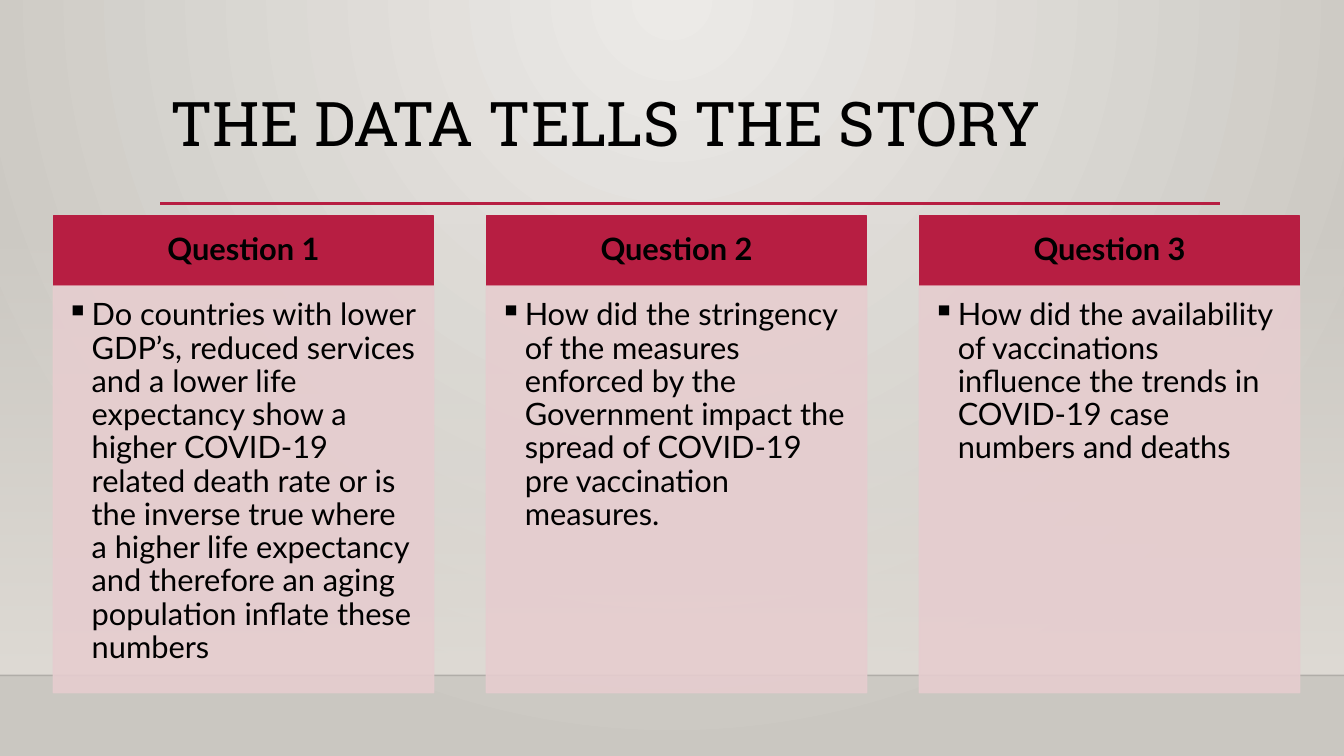
"""Build the slide with three question cards under a ruled title."""
from lxml.etree import SubElement
from pptx import Presentation
from pptx.dml.color import RGBColor
from pptx.enum.shapes import MSO_CONNECTOR, MSO_SHAPE
from pptx.enum.text import MSO_ANCHOR, MSO_AUTO_SIZE, PP_ALIGN
from pptx.oxml.ns import qn
from pptx.util import Inches, Pt

BLACK = RGBColor(0x00, 0x00, 0x00)
CRIMSON = RGBColor(0xB7, 0x1E, 0x42)
PINK = RGBColor(0xE6, 0xCD, 0xCF)
WALL = RGBColor(0xDF, 0xDB, 0xD5)
LIGHT = RGBColor(0xEC, 0xEA, 0xE7)
SHADE = RGBColor(0xCA, 0xC7, 0xC1)

WIDTH, HEIGHT, FLOOR = 13.33, 7.5, 6.7
LEFT, PITCH, CARD_W = 0.53, 4.295, 3.77
HEAD_TOP, HEAD_H, BODY_TOP, BODY_H = 2.14, 0.69, 2.84, 4.03

CARDS = [
    ("Question 1", "Do countries with lower GDP’s, reduced services and a lower "
     "life expectancy show a higher COVID-19 related death rate or is the inverse "
     "true where a higher life expectancy and therefore an aging population "
     "inflate these numbers"),
    ("Question 2", "How did the stringency of the measures enforced by the "
     "Government impact the spread of COVID-19 pre vaccination measures."),
    ("Question 3", "How did the availability of vaccinations influence the trends "
     "in COVID-19 case numbers and deaths"),
]


def set_alpha(element, percent):
    """Give every colour inside the element the same opacity."""
    for clr in element.iter(qn("a:srgbClr")):
        SubElement(clr, qn("a:alpha"), val=str(percent * 1000))


def write(tf, text, size, font, align, insets, anchor):
    """Fill a text frame with one formatted run and return its paragraph."""
    tf.word_wrap = True
    tf.auto_size = MSO_AUTO_SIZE.NONE
    tf.vertical_anchor = anchor
    (tf.margin_left, tf.margin_top,
     tf.margin_right, tf.margin_bottom) = [Inches(v) for v in insets]
    p = tf.paragraphs[0]
    p.alignment = align
    p.line_spacing = 0.9
    r = p.add_run()
    r.text = text
    r.font.size = Pt(size)
    r.font.name = font
    r.font.color.rgb = BLACK
    return p


prs = Presentation()
prs.slide_width, prs.slide_height = Inches(WIDTH), Inches(HEIGHT)
s = prs.slides.add_slide(prs.slide_layouts[5])

fill = s.background.fill
fill.gradient()
for stop, color in zip(fill.gradient_stops, (LIGHT, SHADE)):
    stop.color.rgb = color
grad = next(s.element.iter(qn("a:gradFill")))
grad.remove(grad.find(qn("a:lin")))
circle = SubElement(grad, qn("a:path"), {"path": "circle"})
SubElement(circle, qn("a:fillToRect"), l="43000", t="0", r="43000", b="100000")

wall = s.shapes.add_shape(MSO_SHAPE.RECTANGLE, 0, Inches(2.21),
                          Inches(WIDTH), Inches(FLOOR - 2.21))
wall.shadow.inherit = False
wall.line.fill.background()
wall.fill.gradient()
wall.fill.gradient_angle = 270
for stop in wall.fill.gradient_stops:
    stop.color.rgb = WALL
set_alpha(next(wall.element.iter(qn("a:gs"))), 0)

for x1, x2, y, color, width, opacity in [
    (0, WIDTH, FLOOR, BLACK, 1, 20),
    (1.59, 12.1, 2.02, CRIMSON, 2.5, 100),
]:
    rule = s.shapes.add_connector(MSO_CONNECTOR.STRAIGHT, Inches(x1), Inches(y),
                                  Inches(x2), Inches(y))
    rule.line.color.rgb = color
    rule.line.width = Pt(width)
    set_alpha(rule.element, opacity)
    SubElement(rule.element.spPr, qn("a:effectLst"))

title = s.shapes.title
title.left, title.top = Inches(1.59), Inches(0.88)
title.width, title.height = Inches(10.5), Inches(1.15)
write(title.text_frame, "THE DATA TELLS THE STORY", 44, "Roboto Slab",
      PP_ALIGN.LEFT, (0.1, 0.05, 0.1, 0.05), MSO_ANCHOR.TOP)

for i, (heading, question) in enumerate(CARDS):
    boxes = []
    for top, height, color in [(HEAD_TOP, HEAD_H, CRIMSON), (BODY_TOP, BODY_H, PINK)]:
        sp = s.shapes.add_shape(MSO_SHAPE.RECTANGLE, Inches(LEFT + i * PITCH),
                                Inches(top), Inches(CARD_W), Inches(height))
        sp.shadow.inherit = False
        sp.fill.solid()
        sp.fill.fore_color.rgb = color
        sp.line.color.rgb = color
        sp.line.width = Pt(1.25)
        boxes.append(sp)
    head, body = boxes
    set_alpha(body.element, 90)
    p = write(head.text_frame, heading, 22, "Lato", PP_ALIGN.CENTER,
              (0.17, 0.1, 0.17, 0.1), MSO_ANCHOR.MIDDLE)
    p.runs[0].font.bold = True
    p = write(body.text_frame, question, 22, "Lato", PP_ALIGN.LEFT,
              (0.13, 0.13, 0.17, 0.19), MSO_ANCHOR.TOP)
    pPr = p._p.get_or_add_pPr()
    pPr.set("marL", str(Inches(0.25)))
    pPr.set("indent", str(-Inches(0.25)))
    SubElement(pPr, qn("a:buChar"), char="▪")

prs.save("out.pptx")
